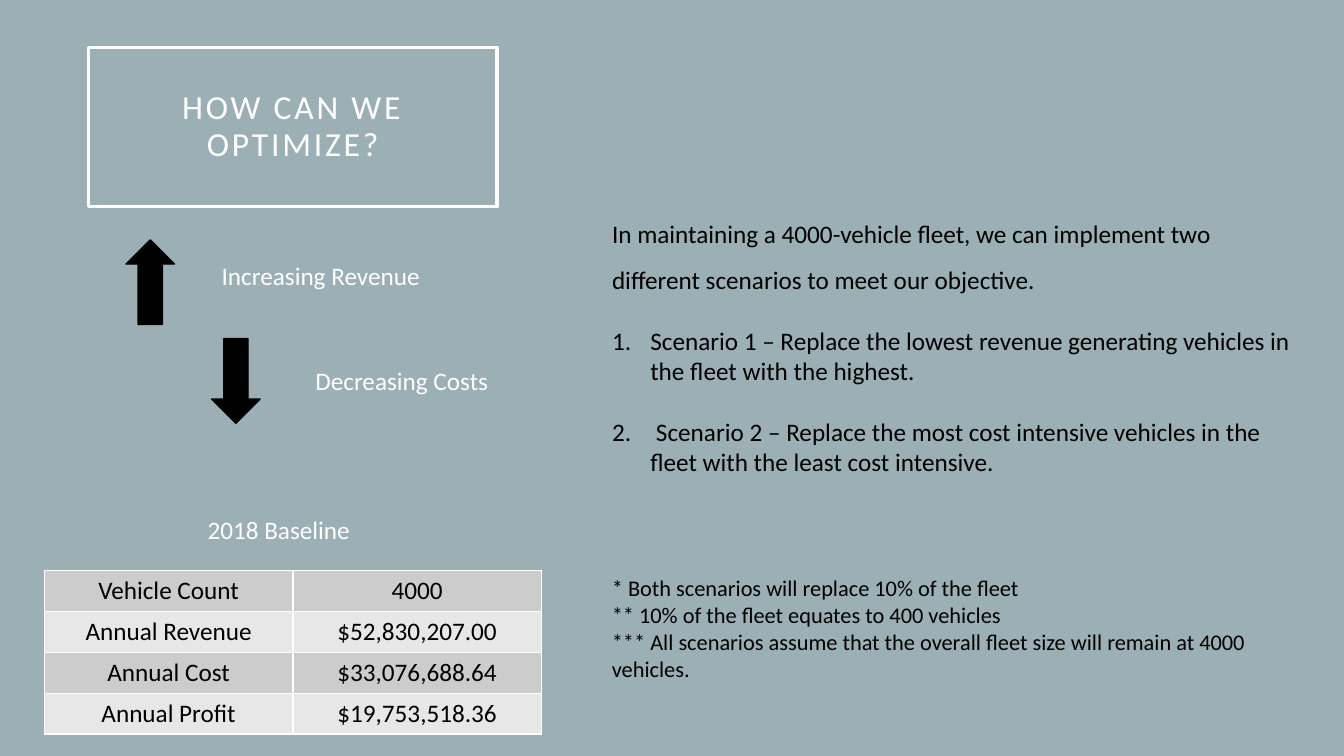
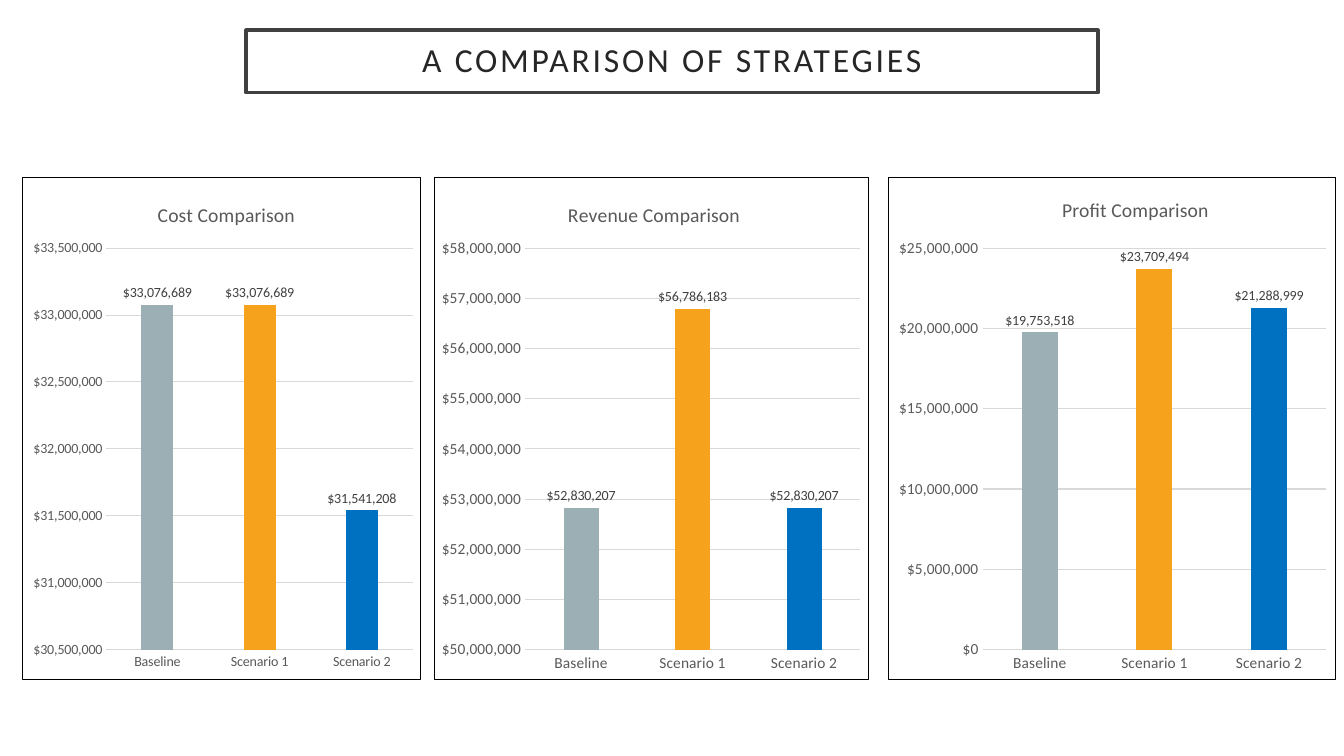
from dataclasses import dataclass

from pptx import Presentation
from pptx.chart.data import CategoryChartData
from pptx.dml.color import RGBColor
from pptx.enum.chart import XL_CHART_TYPE as ChartType, XL_LABEL_POSITION as LabelPosition
from pptx.enum.chart import XL_TICK_MARK as TickMark
from pptx.enum.shapes import MSO_SHAPE as Preset
from pptx.enum.text import MSO_ANCHOR as Anchor, MSO_AUTO_SIZE as AutoSize, PP_ALIGN as Align
from pptx.oxml import parse_xml
from pptx.oxml.ns import nsdecls, qn
from pptx.util import Inches, Pt

FONT = "Calibri"
BLACK, WHITE = "000000", "FFFFFF"
SLATE, ORANGE, BLUE = "9BAFB5", "F6A21D", "0070C0"
DARK, FRAME, LABEL, AXIS, GRID = "262626", "404040", "404040", "595959", "D9D9D9"
BANDS = ("CCCCCC", "E7E7E7")
DOLLARS = "[$$-409]#,##0"
STRATEGIES = ("Baseline", "Scenario 1", "Scenario 2")
CHART_TOP, CHART_HEIGHT = 1.76, 4.99
PLOT_AREA = (0.21, 0.14, 0.77, 0.8)

BASELINE = (
    ("Vehicle Count", "4000"),
    ("Annual Revenue", "$52,830,207.00"),
    ("Annual Cost", "$33,076,688.64"),
    ("Annual Profit", "$19,753,518.36"),
)
INTRO = ("In maintaining a 4000-vehicle fleet, we can implement two different "
         "scenarios to meet our objective.")
SCENARIOS = (
    "Scenario 1 – Replace the lowest revenue generating vehicles in the fleet with the highest.",
    " Scenario 2 – Replace the most cost intensive vehicles in the fleet with the least cost intensive.",
)
FOOTNOTES = (
    "* Both scenarios will replace 10% of the fleet",
    "** 10% of the fleet equates to 400 vehicles",
    "*** All scenarios assume that the overall fleet size will remain at 4000 vehicles.",
)


@dataclass
class Comparison:
    """One column chart: its place, values, scale and text sizes."""
    title: str
    left: float
    width: float
    values: tuple
    scale: tuple
    axis_size: int
    title_corner: tuple


COMPARISONS = (
    Comparison("Cost Comparison", 0.22, 3.96, (33076689, 33076689, 31541208),
               (30500000, 33500000, 500000), 10, (0.33, 0.04)),
    Comparison("Revenue Comparison", 4.3, 4.32, (52830207, 56786183, 52830207),
               (50000000, 58000000, 1000000), 11, (0.3, 0.04)),
    Comparison("Profit Comparison", 8.81, 4.44, (19753518, 23709494, 21288999),
               (0, 25000000, 5000000), 11, (0.38, 0.03)),
)


def rgb(code):
    """Turn a hex string into a colour."""
    return RGBColor.from_string(code)


def paint(shape, fill, line, width):
    """Set the fill and outline of a shape; no fill colour means see-through."""
    if fill:
        shape.fill.solid()
        shape.fill.fore_color.rgb = rgb(fill)
    else:
        shape.fill.background()
    shape.line.color.rgb = rgb(line)
    shape.line.width = Pt(width)


def style(font, size, color):
    """Set the face, size and colour of a font."""
    font.name, font.size, font.bold = FONT, Pt(size), False
    font.color.rgb = rgb(color)


def place(shape, left, top, width, height):
    """Move and size a shape, in inches."""
    shape.left, shape.top = Inches(left), Inches(top)
    shape.width, shape.height = Inches(width), Inches(height)


def new_slide(deck, layout, background):
    """Add a slide with a plain background."""
    slide = deck.slides.add_slide(deck.slide_layouts[layout])
    slide.background.fill.solid()
    slide.background.fill.fore_color.rgb = rgb(background)
    return slide


def set_title(slide, text, box, color, line, fill=None):
    """Fill the framed, letter-spaced slide title."""
    title = slide.shapes.title
    place(title, *box)
    paint(title, fill, line, 2.5)
    frame = title.text_frame
    frame.auto_size, frame.word_wrap = AutoSize.NONE, True
    frame.vertical_anchor = Anchor.MIDDLE
    frame.margin_left = frame.margin_right = Inches(0.2)
    frame.margin_top = frame.margin_bottom = Inches(0.2)
    heading = frame.paragraphs[0]
    heading.alignment, heading.line_spacing = Align.CENTER, 0.9
    style(heading.font, 24, color)
    run = heading.add_run()
    run.text = text
    run._r.get_or_add_rPr().set("spc", "200")


def add_text(slide, lines, box, size=18, color=WHITE, align=Align.LEFT):
    """Add a text box with one paragraph per line."""
    frame = slide.shapes.add_textbox(*map(Inches, box)).text_frame
    frame.word_wrap = True
    frame.text = "\n".join(lines)
    for paragraph in frame.paragraphs:
        paragraph.alignment = align
        style(paragraph.font, size, color)


def add_arrow(slide, preset, left, top):
    """Add a black block arrow."""
    arrow = slide.shapes.add_shape(preset, *map(Inches, (left, top, 0.48, 0.84)))
    arrow.shadow.inherit = False
    paint(arrow, BLACK, BLACK, 1)


def set_bullet(paragraph, bullet, indent):
    """Give a paragraph a bullet element and a hanging indent in inches."""
    props = paragraph._p.get_or_add_pPr()
    props.set("marL", str(Inches(indent)))
    props.set("indent", str(-Inches(indent)))
    props.insert_element_before(parse_xml(f"<a:{bullet} {nsdecls('a')}/>"),
                                "a:tabLst", "a:defRPr", "a:extLst")


def fill_scenarios(body):
    """Write the introduction and the numbered scenarios."""
    place(body, 5.97, 1.97, 6.95, 2.8)
    frame = body.text_frame
    frame.auto_size, frame.vertical_anchor = AutoSize.NONE, Anchor.TOP
    frame.text = "\n".join((INTRO, *SCENARIOS))
    for number, paragraph in enumerate(frame.paragraphs):
        paragraph.alignment = Align.LEFT
        paragraph.line_spacing = 1.0 if number else 1.5
        paragraph.space_before = Pt(22 if number else 0)
        style(paragraph.font, 18, BLACK)
        if number:
            set_bullet(paragraph, 'buAutoNum type="arabicPeriod"', 0.38)
        else:
            set_bullet(paragraph, "buNone", 0)


def border_cell(cell):
    """Draw a thin white border on each side of a cell."""
    props = cell._tc.get_or_add_tcPr()
    for index, side in enumerate(("lnL", "lnR", "lnT", "lnB")):
        props.insert(index, parse_xml(
            f'<a:{side} {nsdecls("a")} w="{Pt(1)}"><a:solidFill>'
            f'<a:srgbClr val="{WHITE}"/></a:solidFill></a:{side}>'))


def add_baseline_table(slide):
    """Add the banded table of baseline figures."""
    box = map(Inches, (0.44, 5.66, 4.93, 1.62))
    table = slide.shapes.add_table(len(BASELINE), 2, *box).table
    table.first_row = table.horz_banding = False
    for row, record in enumerate(BASELINE):
        for column, text in enumerate(record):
            cell = table.cell(row, column)
            cell.text = text
            cell.fill.solid()
            cell.fill.fore_color.rgb = rgb(BANDS[row % 2])
            border_cell(cell)
            paragraph = cell.text_frame.paragraphs[0]
            paragraph.alignment = Align.CENTER
            style(paragraph.font, 18, BLACK)


def set_layout(parent, index, target="", **fractions):
    """Fix the place of a chart part, in fractions of the chart."""
    old = parent.find(qn("c:layout"))
    if old is not None:
        parent.remove(old)
    modes = "".join(f'<c:{axis}Mode val="edge"/>' for axis in "xy")
    sizes = "".join(f'<c:{key} val="{value}"/>' for key, value in fractions.items())
    parent.insert(index, parse_xml(
        f'<c:layout {nsdecls("c")}><c:manualLayout>{target}{modes}{sizes}'
        f'</c:manualLayout></c:layout>'))


def add_border(chart):
    """Draw a thin black frame around a chart."""
    chart.element.find(qn("c:chart")).addnext(parse_xml(
        f'<c:spPr {nsdecls("c", "a")}><a:noFill/><a:ln w="{Pt(0.75)}"><a:solidFill>'
        f'<a:srgbClr val="{BLACK}"/></a:solidFill></a:ln></c:spPr>'))


def format_axes(chart, comparison):
    """Style both axes and set the value scale."""
    values, categories = chart.value_axis, chart.category_axis
    for axis in (values, categories):
        axis.major_tick_mark = axis.minor_tick_mark = TickMark.NONE
        style(axis.tick_labels.font, comparison.axis_size, AXIS)
    values.minimum_scale, values.maximum_scale, values.major_unit = comparison.scale
    values.tick_labels.number_format = DOLLARS
    values.tick_labels.number_format_is_linked = False
    values.format.line.fill.background()
    for line in (categories.format.line, values.major_gridlines.format.line):
        line.color.rgb = rgb(GRID)
        line.width = Pt(0.75)


def format_columns(plot):
    """Colour each column and show its value above it."""
    plot.gap_width, plot.overlap, plot.vary_by_categories = 219, -27, False
    series = plot.series[0]
    for index, color in enumerate((SLATE, ORANGE, BLUE)):
        fill = series.points[index].format.fill
        fill.solid()
        fill.fore_color.rgb = rgb(color)
    plot.has_data_labels = True
    labels = plot.data_labels
    labels.show_value, labels.position = True, LabelPosition.OUTSIDE_END
    labels.number_format, labels.number_format_is_linked = DOLLARS, False
    style(labels.font, 10, LABEL)


def add_comparison(slide, comparison):
    """Add one framed column chart."""
    data = CategoryChartData()
    data.categories = STRATEGIES
    data.add_series("Series 1", comparison.values)
    box = map(Inches, (comparison.left, CHART_TOP, comparison.width, CHART_HEIGHT))
    chart = slide.shapes.add_chart(ChartType.COLUMN_CLUSTERED, *box, data).chart
    style(chart.font, 10, BLACK)
    chart.has_legend = False
    heading = chart.chart_title.text_frame
    heading.text = comparison.title
    style(heading.paragraphs[0].font, 14, AXIS)
    format_axes(chart, comparison)
    format_columns(chart.plots[0])
    content = chart.element.find(qn("c:chart"))
    set_layout(content.find(qn("c:title")), 1, **dict(zip("xy", comparison.title_corner)))
    set_layout(content.find(qn("c:plotArea")), 0, '<c:layoutTarget val="inner"/>',
               **dict(zip("xywh", PLOT_AREA)))
    add_border(chart)


def build_optimize(deck):
    """Build the slide on ways to optimize."""
    slide = new_slide(deck, 1, SLATE)
    set_title(slide, "HOW CAN WE OPTIMIZE?", (0.88, 0.47, 4.05, 1.58), WHITE, WHITE)
    fill_scenarios(slide.placeholders[1])
    add_baseline_table(slide)
    add_text(slide, ["2018 Baseline"], (0.88, 5.05, 3.77, 0.4), align=Align.CENTER)
    add_arrow(slide, Preset.UP_ARROW, 1.25, 2.38)
    add_text(slide, ["Increasing Revenue"], (2.1, 2.53, 2.55, 0.4))
    add_arrow(slide, Preset.DOWN_ARROW, 2.1, 3.36)
    add_text(slide, ["Decreasing Costs"], (3.03, 3.58, 2.34, 0.4))
    add_text(slide, FOOTNOTES, (5.97, 5.65, 6.95, 1.2), 16, BLACK)


def build_comparison(deck):
    """Build the slide that compares the strategies."""
    slide = new_slide(deck, 5, WHITE)
    set_title(slide, "A COMPARISON OF STRATEGIES", (2.44, 0.3, 8.45, 0.62), DARK, FRAME, WHITE)
    for comparison in COMPARISONS:
        add_comparison(slide, comparison)


def main():
    """Build and save the deck."""
    deck = Presentation()
    deck.slide_width, deck.slide_height = Inches(13.33), Inches(7.5)
    build_optimize(deck)
    build_comparison(deck)
    deck.save("out.pptx")


if __name__ == "__main__":
    main()
